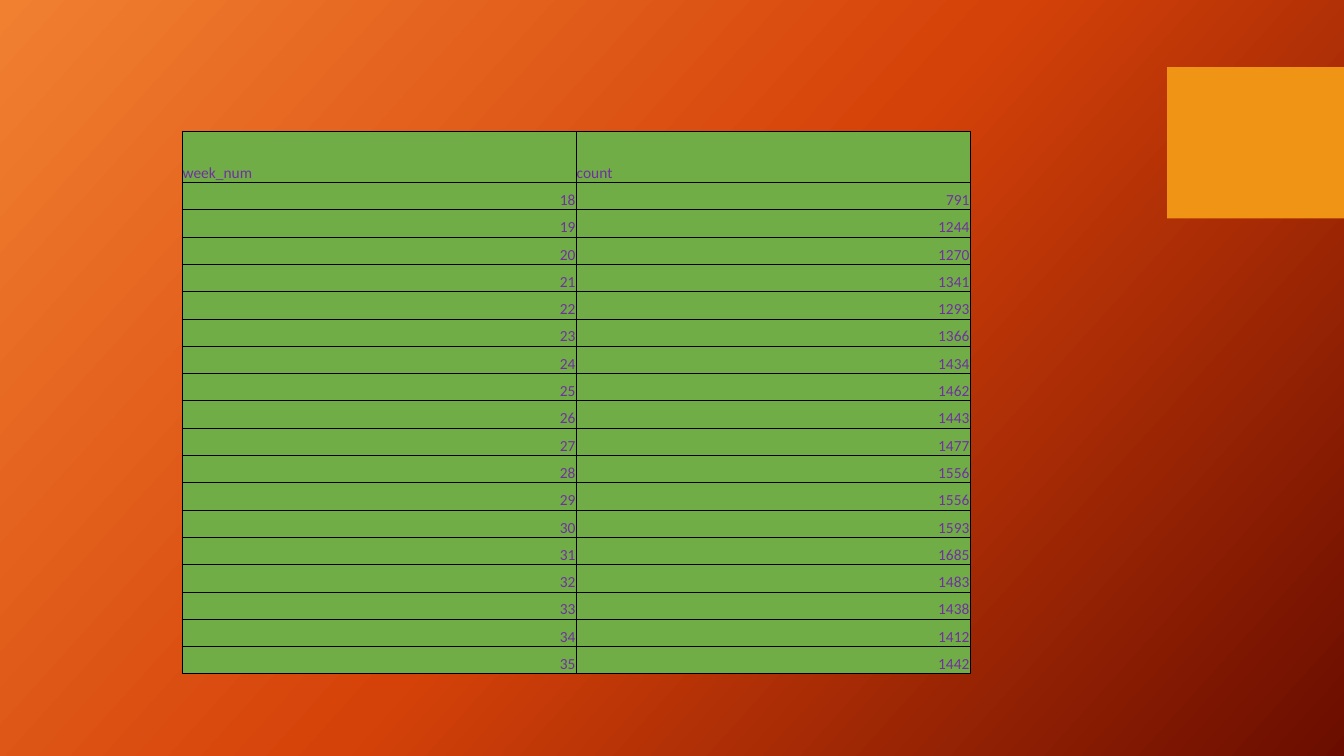
from copy import deepcopy

from lxml import etree
from pptx import Presentation
from pptx.dml.color import RGBColor
from pptx.enum.shapes import MSO_SHAPE
from pptx.enum.text import MSO_ANCHOR, PP_ALIGN
from pptx.oxml.ns import qn
from pptx.util import Pt

RECTANGLE = MSO_SHAPE.RECTANGLE
BOTTOM = MSO_ANCHOR.BOTTOM
LEFT, RIGHT = PP_ALIGN.LEFT, PP_ALIGN.RIGHT

COLORS = {
    "glow": "F18031",
    "flame": "D54209",
    "ember": "6A0D00",
    "accent": "F09415",
    "cell": "70AD47",
    "text": "7030A0",
    "border": "000000",
}
FONT = "Calibri"
HEADINGS = ("week_num", "count")
FIRST_WEEK = 18
COUNTS = (791, 1244, 1270, 1341, 1293, 1366, 1434, 1462, 1443,
          1477, 1556, 1556, 1593, 1685, 1483, 1438, 1412, 1442)


def rgb(name):
    """Return the named colour."""
    return RGBColor.from_string(COLORS[name])


def paint_background(slide):
    """Fill the slide with a diagonal gradient of three colours."""
    fill = slide.background.fill
    fill.gradient()
    fill.gradient_angle = 360 - 42
    stop_list = slide.element.find(".//" + qn("a:gsLst"))
    stop_list.append(deepcopy(stop_list[-1]))
    for stop, name, position in zip(
            fill.gradient_stops, ("glow", "flame", "ember"), (0, 0.5, 1)):
        stop.color.rgb = rgb(name)
        stop.position = position


def add_accent(slide, left, top, width, height):
    """Place the plain accent block in the given box."""
    accent = slide.shapes.add_shape(
        RECTANGLE, Pt(left), Pt(top), Pt(width), Pt(height))
    accent.shadow.inherit = False
    accent.fill.solid()
    accent.fill.fore_color.rgb = rgb("accent")
    accent.line.fill.background()


def add_borders(cell):
    """Draw a thin line on all four sides of a cell."""
    properties = cell._tc.get_or_add_tcPr()
    for side in ("a:lnL", "a:lnR", "a:lnT", "a:lnB"):
        border = etree.SubElement(properties, qn(side), w=str(Pt(0.5)))
        solid = etree.SubElement(border, qn("a:solidFill"))
        etree.SubElement(solid, qn("a:srgbClr"), val=COLORS["border"])


def fill_cell(cell, value, alignment):
    """Write one value and format its cell."""
    add_borders(cell)
    cell.fill.solid()
    cell.fill.fore_color.rgb = rgb("cell")
    cell.vertical_anchor = BOTTOM
    cell.margin_left = cell.margin_right = cell.margin_top = Pt(0.5)
    cell.margin_bottom = 0
    cell.text_frame.text = str(value)
    paragraph = cell.text_frame.paragraphs[0]
    paragraph.alignment = alignment
    font = paragraph.runs[0].font
    font.name, font.size, font.bold = FONT, Pt(11), False
    font.color.rgb = rgb("text")


def add_weekly_counts(slide, left, top, width, height, heading_height=36.5):
    """Place the table of counts per week in the given box."""
    records = [HEADINGS, *enumerate(COUNTS, FIRST_WEEK)]
    counts_table = slide.shapes.add_table(
        len(records), len(HEADINGS),
        Pt(left), Pt(top), Pt(width), Pt(height)).table
    week_height = (height - heading_height) / len(COUNTS)
    for index, record in enumerate(records):
        is_heading = index == 0
        counts_table.rows[index].height = Pt(
            heading_height if is_heading else week_height)
        for column, value in enumerate(record):
            fill_cell(counts_table.cell(index, column), value,
                      LEFT if is_heading else RIGHT)


def main():
    """Build the slide and save it."""
    deck = Presentation()
    deck.slide_width, deck.slide_height = Pt(960), Pt(540)
    slide = deck.slides.add_slide(deck.slide_layouts[6])
    paint_background(slide)
    add_accent(slide, 833.75, 48, 126.25, 108)
    add_weekly_counts(slide, 130, 93.75, 563, 388)
    deck.save("out.pptx")


if __name__ == "__main__":
    main()
